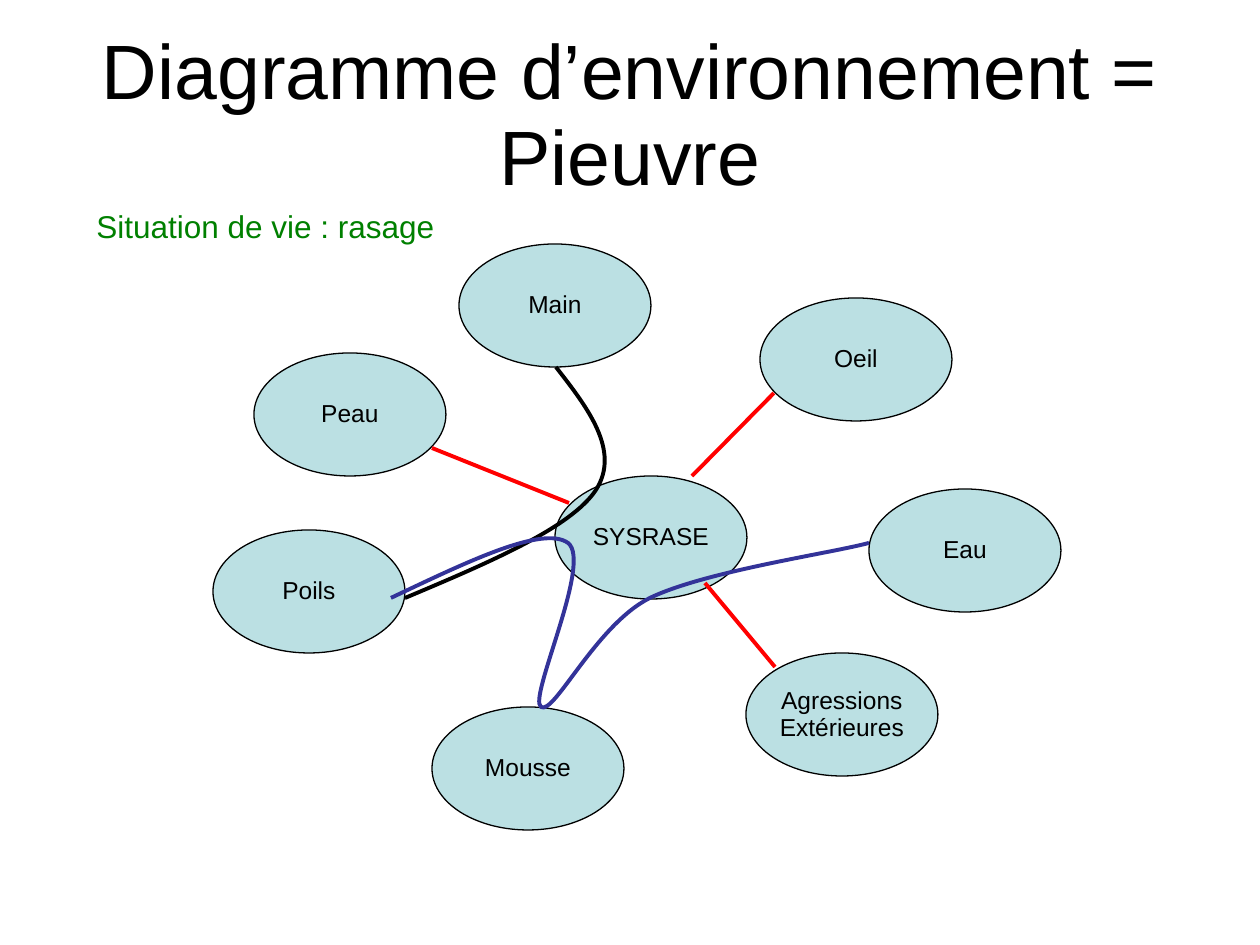
from lxml.etree import SubElement
from pptx import Presentation
from pptx.dml.color import RGBColor
from pptx.enum.shapes import MSO_CONNECTOR as Connector, MSO_SHAPE as Shape
from pptx.enum.text import MSO_ANCHOR as Anchor, PP_ALIGN as Align
from pptx.oxml.ns import qn
from pptx.util import Pt

SCALE = 914400 / 126
BLACK = RGBColor(0x00, 0x00, 0x00)
RED = RGBColor(0xFF, 0x00, 0x00)
GREEN = RGBColor(0x00, 0x80, 0x00)
INDIGO = RGBColor(0x33, 0x33, 0x99)
PALE_BLUE = RGBColor(0xBB, 0xE0, 0xE3)

BUBBLE_SIZE = (192, 123)
BUBBLES = [
    ("SYSRASE", 555, 476),
    ("Oeil", 760, 298),
    ("Main", 459, 244),
    ("Peau", 254, 353),
    ("Poils", 213, 530),
    ("Eau", 869, 489),
    ("Agressions\nExtérieures", 746, 653),
    ("Mousse", 432, 707),
]
MAIN_TO_POILS = [
    (556, 367),
    (588, 408), (621, 451), (596, 490),
    (571, 528), (488, 563), (405, 598),
]
POILS_TO_EAU = [
    (391, 598),
    (467, 562), (543, 525), (568, 543),
    (593, 562), (528, 698), (541, 707),
    (554, 716), (596, 625), (650, 598),
    (706, 571), (833, 553), (869, 543),
]
DIRECT_LINKS = [
    ((775, 667), (705, 583)),
    ((432, 448), (569, 503)),
    ((692, 476), (774, 393)),
]


def emu(*lengths):
    """Turn px lengths into EMU."""
    return [round(length * SCALE) for length in lengths]


class Diagram:
    """Draw the elements of the diagram on one slide in one style."""

    def __init__(self, slide, font="Arial", link_width=2.25):
        self.slide = slide
        self.font = font
        self.link_width = Pt(link_width)

    def set_text(self, shape, text, size, color, align, anchor, wrap):
        text_frame = shape.text_frame
        text_frame.text = text
        text_frame.word_wrap = wrap
        text_frame.vertical_anchor = anchor
        for paragraph in text_frame.paragraphs:
            paragraph.alignment = align
            paragraph.line_spacing = 0.93
            for run in paragraph.runs:
                run.font.name = self.font
                run.font.size = Pt(size)
                run.font.color.rgb = color

    def text(self, text, box, size, color, align=Align.LEFT, anchor=Anchor.TOP):
        shape = self.slide.shapes.add_textbox(*emu(*box))
        self.set_text(shape, text, size, color, align, anchor, True)

    def bubble(self, text, left, top):
        shape = self.slide.shapes.add_shape(Shape.OVAL, *emu(left, top, *BUBBLE_SIZE))
        shape.shadow.inherit = False
        shape.fill.solid()
        shape.fill.fore_color.rgb = PALE_BLUE
        shape.line.color.rgb = BLACK
        shape.line.width = Pt(0.75)
        self.set_text(shape, text, 14, BLACK, Align.CENTER, Anchor.MIDDLE, False)

    def curve(self, points, color):
        """Draw cubic curves through a start and groups of three points."""
        builder = self.slide.shapes.build_freeform(*points[0], scale=SCALE)
        builder.add_line_segments(points[1:], close=False)
        shape = builder.convert_to_shape()
        shape.shadow.inherit = False
        shape.fill.background()
        shape.line.color.rgb = color
        shape.line.width = self.link_width
        outline = next(shape.element.iter(qn("a:path")))
        segments = outline.findall(qn("a:lnTo"))
        for start in range(0, len(segments), 3):
            bezier = SubElement(outline, qn("a:cubicBezTo"))
            for segment in segments[start:start + 3]:
                bezier.append(segment[0])
                outline.remove(segment)

    def link(self, start, end):
        connector = self.slide.shapes.add_connector(
            Connector.STRAIGHT, *emu(*start, *end))
        connector.line.color.rgb = RED
        connector.line.width = self.link_width
        SubElement(connector.element.spPr, qn("a:effectLst"))


def main():
    presentation = Presentation()
    presentation.slide_width, presentation.slide_height = emu(1260, 945)
    diagram = Diagram(presentation.slides.add_slide(presentation.slide_layouts[6]))
    for bubble in BUBBLES:
        diagram.bubble(*bubble)
    diagram.curve(MAIN_TO_POILS, BLACK)
    diagram.curve(POILS_TO_EAU, INDIGO)
    for start, end in DIRECT_LINKS:
        diagram.link(start, end)
    diagram.text("Diagramme d’environnement = Pieuvre", (63, 18, 1134, 198),
                 44, BLACK, Align.CENTER, Anchor.MIDDLE)
    diagram.text("Situation de vie : rasage", (84, 204, 437, 48), 18, GREEN)
    presentation.save("out.pptx")


if __name__ == "__main__":
    main()
